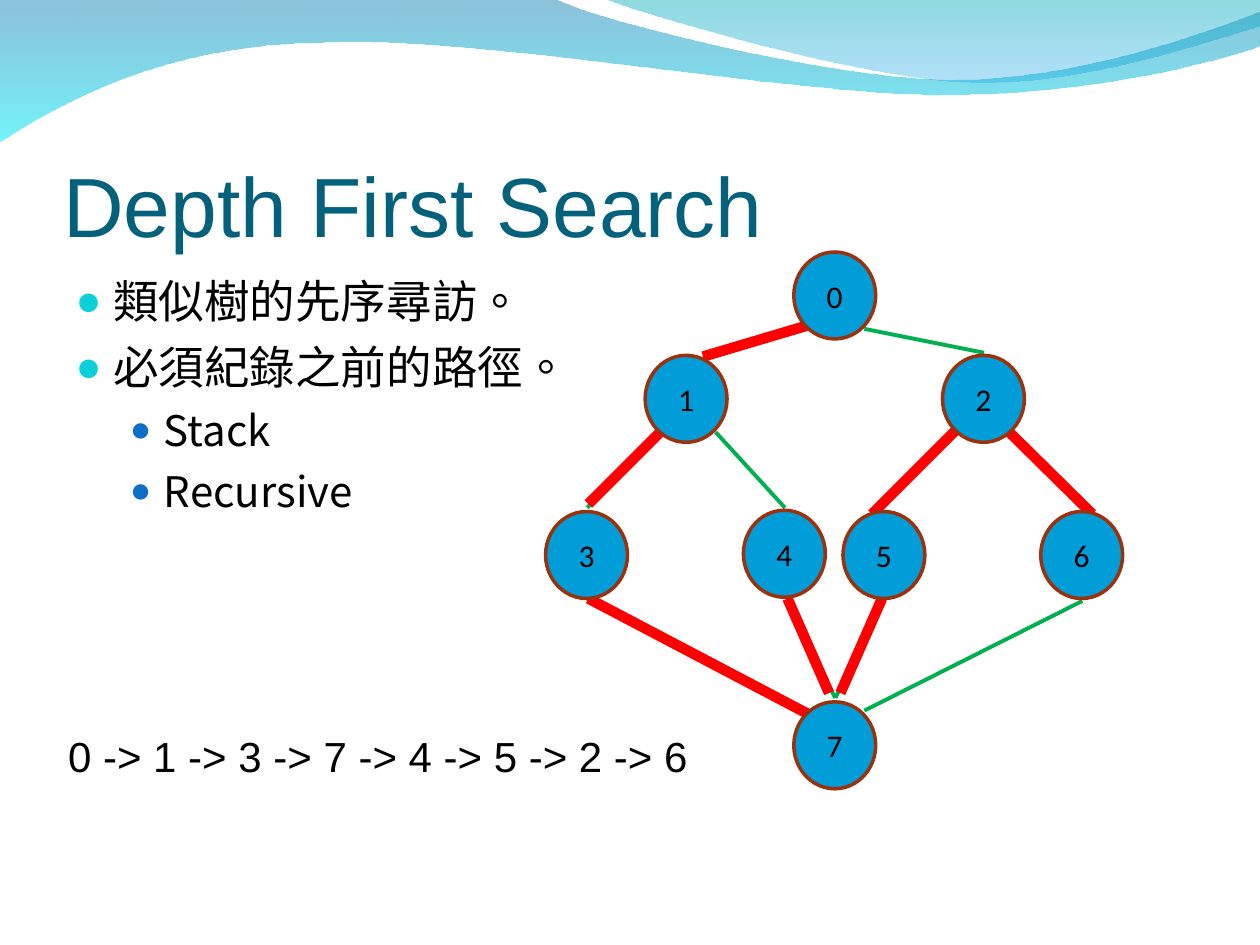
from lxml import etree
from pptx import Presentation
from pptx.dml.color import RGBColor
from pptx.enum import lang, shapes, text
from pptx.oxml import ns
from pptx.util import Inches, Pt

THEME = {
    "title": ("Arial", 48, "04617B"),
    "body": ("Noto Sans CJK SC", 26, "000000"),
    "detail": ("Noto Sans CJK SC", 24, "000000"),
    "node": ("Calibri", 18, "000000"),
    "order": ("Arial", 24, "000000"),
    "node_fill": "009DD9",
    "node_line": "9B320E",
    "edge": ("00B050", 2.25),
    "visit": ("FF0000", 6),
}
LEVELS = [
    {"style": "body", "left": 0.3, "hang": -0.3, "before": 6.5, "bullet": "0BD0D9", "percent": 95},
    {"style": "detail", "left": 0.7, "hang": -0.27, "before": 6, "bullet": "0F6FC6", "percent": 85},
]

TITLE = "Depth First Search"
POINTS = [(0, "類似樹的先序尋訪。"), (0, "必須紀錄之前的路徑。"), (1, "Stack"), (1, "Recursive")]
VISIT_ORDER = [0, 1, 3, 7, 4, 5, 2, 6]
WAVES = [
    {
        "start": (0, -0.01),
        "segments": [
            [(4.4, -0.01)],
            [(4.76, 0.17), (6.64, 0.63), (7.58, 0.63)],
            [(8.53, 0.63), (9.58, 0.26), (10, 0.09)],
            [(10.01, 0.36)],
            [(9.83, 0.44), (8.7, 0.76), (7.46, 0.75)],
            [(6.22, 0.75), (3.82, 0.28), (2.57, 0.34)],
            [(1.29, 0.35), (0.46, 0.83), (-0.01, 1.13)],
        ],
        "stops": [("0079AF", 45), ("00EBF8", 55)],
    },
    {
        "start": (4.79, -0.01),
        "segments": [
            [(5.09, 0.11), (6.82, 0.62), (7.69, 0.65)],
            [(8.56, 0.69), (9.61, 0.32), (10, 0.21)],
            [(10, 0)],
        ],
        "stops": [("00ADB6", 45), ("009BE5", 30)],
    },
]
NODE_SIZE = (0.65, 0.69)
NODES = {
    0: (6.3, 2), 1: (5.12, 2.82), 3: (4.33, 4.06), 7: (6.3, 5.57),
    4: (5.9, 4.05), 5: (6.69, 4.06), 2: (7.48, 2.82), 6: (8.26, 4.06),
}
LINKS = {
    "edge": [
        (6.36, 2.58, 5.58, 2.83), (6.86, 2.61, 7.81, 2.8),
        (5.21, 3.43, 4.66, 4.03), (5.68, 3.43, 6.23, 4.03),
        (7.57, 3.43, 6.94, 4.07), (8.03, 3.43, 8.65, 4.07),
        (6.23, 4.77, 6.63, 5.54), (7.02, 4.77, 6.63, 5.54),
        (4.66, 4.77, 6.39, 5.64), (8.59, 4.77, 6.86, 5.64),
    ],
    "visit": [
        (5.58, 2.83, 6.42, 2.58), (4.67, 4, 5.25, 3.42),
        (6.42, 5.67, 4.67, 4.75), (6.58, 5.5, 6.25, 4.75),
        (6.67, 5.5, 7, 4.75), (6.92, 4.08, 7.58, 3.42),
        (8, 3.42, 8.67, 4.08),
    ],
}


def add_xml(parent, tag, **attributes):
    return etree.SubElement(parent, ns.qn(tag), attributes)


def place(part, left, top, width, height):
    part.left, part.top = Inches(left), Inches(top)
    part.width, part.height = Inches(width), Inches(height)


def style_paragraph(paragraph, style):
    name, size, color = THEME[style]
    font = paragraph.font
    font.name, font.size = name, Pt(size)
    font.color.rgb = RGBColor.from_string(color)
    add_xml(paragraph._p.pPr.find(ns.qn("a:defRPr")), "a:ea", typeface=name)


def set_margins(frame, left=0.1, top=0.05, right=0.1, bottom=0.05):
    frame.margin_left, frame.margin_top = Inches(left), Inches(top)
    frame.margin_right, frame.margin_bottom = Inches(right), Inches(bottom)


def bend_sides(band, segments):
    sides = list(band._element.spPr.iter(ns.qn("a:lnTo")))
    for side, (*controls, _) in zip(sides, segments):
        if not controls:
            continue
        curve = etree.Element(ns.qn("a:cubicBezTo"))
        for x, y in controls:
            add_xml(curve, "a:pt", x=str(Inches(x) - band.left), y=str(Inches(y) - band.top))
        curve.append(side[0])
        side.getparent().replace(side, curve)


def add_wave(slide, wave):
    first, *corners = [
        (Inches(x), Inches(y))
        for x, y in [wave["start"]] + [segment[-1] for segment in wave["segments"]]
    ]
    builder = slide.shapes.build_freeform(*first)
    builder.add_line_segments(corners, close=True)
    band = builder.convert_to_shape()
    bend_sides(band, wave["segments"])
    band.shadow.inherit = False
    band.line.fill.background()
    band.fill.gradient()
    band.fill.gradient_angle = 270
    for stop, (color, _) in zip(band.fill.gradient_stops, wave["stops"]):
        stop.color.rgb = RGBColor.from_string(color)
    for color_xml, (_, opacity) in zip(band._element.spPr.iter(ns.qn("a:srgbClr")), wave["stops"]):
        add_xml(color_xml, "a:alpha", val=str(opacity * 1000))


def fill_title(title):
    place(title, 0.5, 0.77, 9, 1.25)
    frame = title.text_frame
    frame.text = TITLE
    frame.auto_size = text.MSO_AUTO_SIZE.NONE
    frame.vertical_anchor = text.MSO_ANCHOR.BOTTOM
    set_margins(frame, left=0, right=0, bottom=0)
    heading = frame.paragraphs[0]
    heading.alignment = text.PP_ALIGN.LEFT
    style_paragraph(heading, "title")


def fill_points(body):
    place(body, 0.5, 2.12, 9, 4.8)
    frame = body.text_frame
    frame.text = "\n".join(point for _, point in POINTS)
    frame.auto_size = text.MSO_AUTO_SIZE.NONE
    set_margins(frame)
    for index, (paragraph, (depth, _)) in enumerate(zip(frame.paragraphs, POINTS)):
        level = LEVELS[depth]
        paragraph.level = depth
        paragraph.space_before = Pt(level["before"] if index else 0)
        properties = paragraph._p.get_or_add_pPr()
        properties.set("marL", str(Inches(level["left"])))
        properties.set("indent", str(Inches(level["hang"])))
        add_xml(add_xml(properties, "a:buClr"), "a:srgbClr", val=level["bullet"])
        add_xml(properties, "a:buSzPct", val=str(level["percent"] * 1000))
        add_xml(properties, "a:buFont", typeface="Arial")
        add_xml(properties, "a:buChar", char="●")
        style_paragraph(paragraph, level["style"])
        paragraph.runs[0].font.language_id = lang.MSO_LANGUAGE_ID.TRADITIONAL_CHINESE


def add_link(slide, ends, style):
    color, width = THEME[style]
    link = slide.shapes.add_connector(shapes.MSO_CONNECTOR.STRAIGHT, *map(Inches, ends))
    link.line.color.rgb = RGBColor.from_string(color)
    link.line.width = Pt(width)
    add_xml(link._element.spPr, "a:effectLst")


def add_order(slide):
    order = slide.shapes.add_textbox(*map(Inches, (0.25, 5.75, 5.5, 0.5)))
    frame = order.text_frame
    frame.word_wrap = True
    frame.text = " -> ".join(map(str, VISIT_ORDER))
    set_margins(frame)
    frame.paragraphs[0].alignment = text.PP_ALIGN.CENTER
    style_paragraph(frame.paragraphs[0], "order")


def add_node(slide, number, corner):
    node = slide.shapes.add_shape(shapes.MSO_SHAPE.OVAL, *map(Inches, corner + NODE_SIZE))
    node.shadow.inherit = False
    node.fill.solid()
    node.fill.fore_color.rgb = RGBColor.from_string(THEME["node_fill"])
    node.line.color.rgb = RGBColor.from_string(THEME["node_line"])
    node.line.width = Pt(2)
    frame = node.text_frame
    frame.text = str(number)
    frame.word_wrap = False
    frame.vertical_anchor = text.MSO_ANCHOR.MIDDLE
    set_margins(frame)
    frame.paragraphs[0].alignment = text.PP_ALIGN.CENTER
    style_paragraph(frame.paragraphs[0], "node")


def main():
    deck = Presentation()
    deck.slide_width, deck.slide_height = Inches(10), Inches(7.5)
    slide = deck.slides.add_slide(deck.slide_layouts[1])
    for wave in WAVES:
        add_wave(slide, wave)
    fill_title(slide.shapes.title)
    fill_points(slide.placeholders[1])
    for style, links in LINKS.items():
        for ends in links:
            add_link(slide, ends, style)
    add_order(slide)
    for number, corner in NODES.items():
        add_node(slide, number, corner)
    deck.save("out.pptx")


if __name__ == "__main__":
    main()
